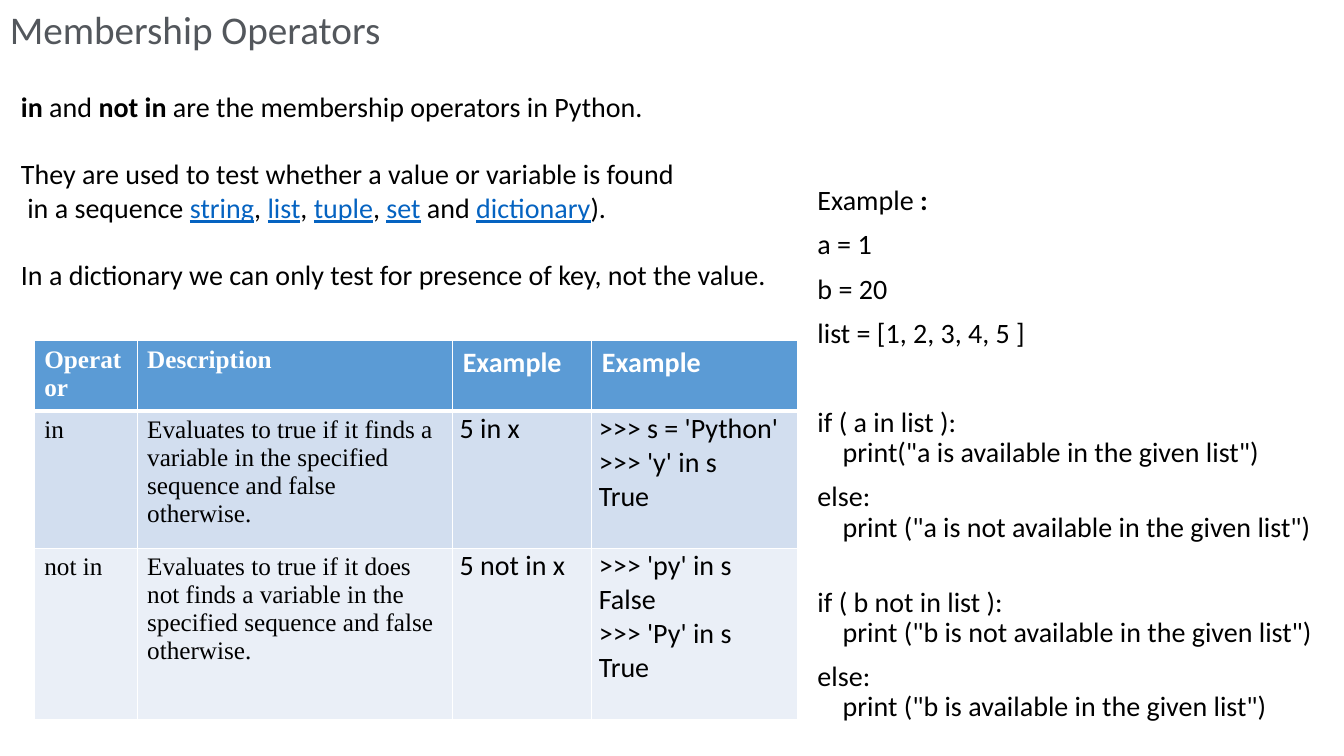
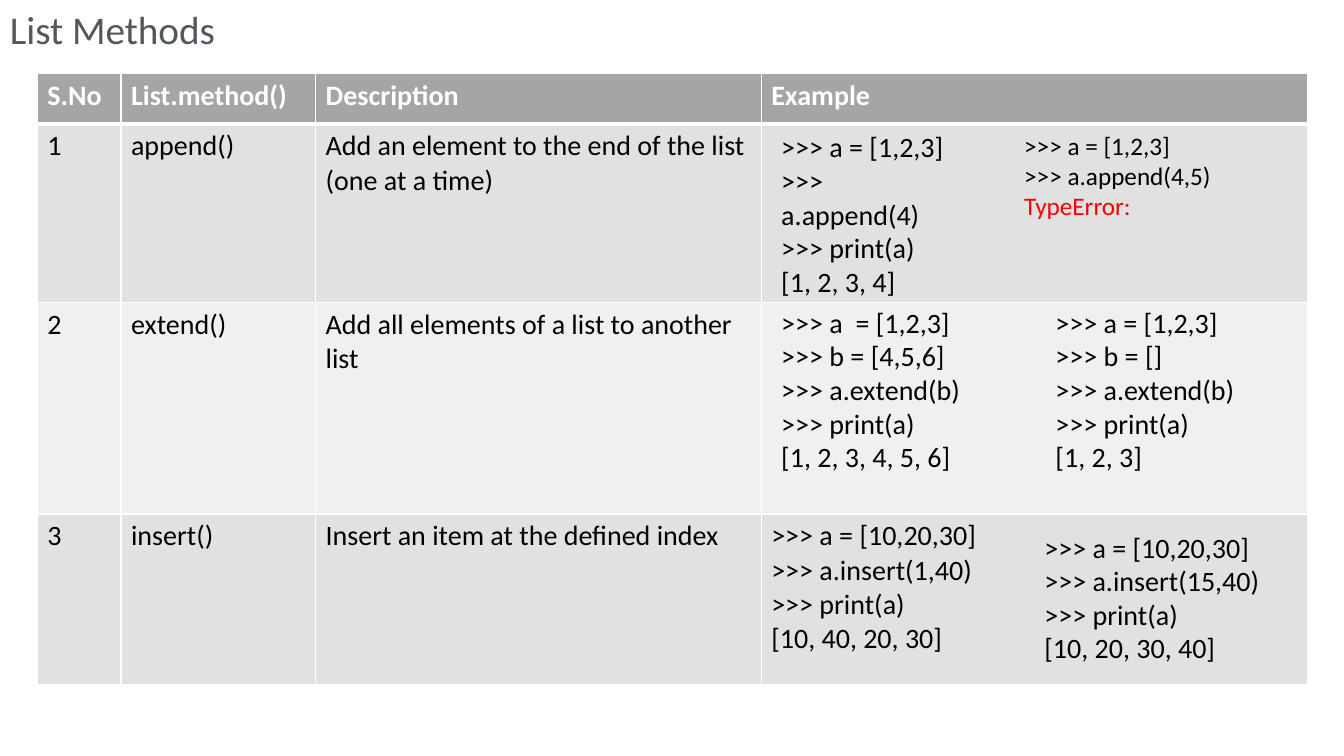
from lxml import etree
from pptx import Presentation
from pptx.dml.color import RGBColor
from pptx.oxml import ns
from pptx.util import Inches, Pt

BLACK = RGBColor(0x00, 0x00, 0x00)
WHITE = RGBColor(0xFF, 0xFF, 0xFF)
TITLE_GREY = RGBColor(0x53, 0x57, 0x5C)
LINK_BLUE = RGBColor(0x05, 0x63, 0xC1)
ERROR_RED = RGBColor(0xFF, 0x00, 0x00)
# Each palette: header row, odd rows, even rows
BLUES = (RGBColor(0x5B, 0x9B, 0xD5), RGBColor(0xD2, 0xDE, 0xEF), RGBColor(0xEA, 0xEF, 0xF7))
GREYS = (RGBColor(0xA5, 0xA5, 0xA5), RGBColor(0xE1, 0xE1, 0xE1), RGBColor(0xF0, 0xF0, 0xF0))

SANS = "Calibri"
SERIF = "Times New Roman"


def style_runs(p, size=20, color=BLACK, name=SANS, bold=False):
    for r in p.runs:
        r.font.size = Pt(size)
        r.font.name = name
        r.font.bold = bold
        r.font.color.rgb = color


def fill_text(tf, content, **style):
    tf.text = content
    for p in tf.paragraphs:
        style_runs(p, **style)


def add_run(p, content, bold=False, link=False):
    r = p.add_run()
    r.text = content
    r.font.size = Pt(20)
    r.font.name = SANS
    r.font.bold = bold
    r.font.underline = link
    r.font.color.rgb = LINK_BLUE if link else BLACK


def add_box(s, left, top, width, height, content="", **style):
    tf = s.shapes.add_textbox(Inches(left), Inches(top), Inches(width), Inches(height)).text_frame
    tf.word_wrap = True
    fill_text(tf, content, **style)
    return tf


def add_title(s, title):
    add_box(s, 0, 0, 13.33, 0.57, title, size=28, color=TITLE_GREY)


def set_borders(cell, top, bottom):
    """Draw white cell borders; top and bottom widths are in points."""
    tc_pr = cell._tc.get_or_add_tcPr()
    for side, width in (("L", 1), ("R", 1), ("T", top), ("B", bottom)):
        ln = etree.SubElement(tc_pr, ns.qn(f"a:ln{side}"), w=str(Pt(width)))
        fill = etree.SubElement(ln, ns.qn("a:solidFill"))
        etree.SubElement(fill, ns.qn("a:srgbClr"), val=str(WHITE))


def add_grid(s, left, top, widths, heights, rows, palette):
    """Add a table with a header row and alternating body rows."""
    table = s.shapes.add_table(len(rows), len(widths), Inches(left), Inches(top),
                               Inches(sum(widths)), Inches(sum(heights))).table
    table.horz_banding = False
    for column, width in zip(table.columns, widths):
        column.width = Inches(width)
    for i, (row, height) in enumerate(zip(rows, heights)):
        table.rows[i].height = Inches(height)
        header = i == 0
        for j, content in enumerate(row):
            cell = table.cell(i, j)
            set_borders(cell, 3 if i == 1 else 1, 3 if header else 1)
            cell.fill.solid()
            cell.fill.fore_color.rgb = palette[0] if header else palette[2 - i % 2]
            fill_text(cell.text_frame, content, color=WHITE if header else BLACK, bold=header)
    return table


def add_intro(s, left, top, width, height):
    tf = add_box(s, left, top, width, height)
    p = tf.paragraphs[0]
    add_run(p, "in", bold=True)
    add_run(p, " and ")
    add_run(p, "not in", bold=True)
    add_run(p, " are the membership operators in Python.")

    p = tf.add_paragraph()
    p.space_before = Pt(24)
    add_run(p, "They are used to test whether a value or variable is found")

    p = tf.add_paragraph()
    add_run(p, " in a sequence ")
    for kind, separator in (("string", ", "), ("list", ", "), ("tuple", ", "),
                            ("set", " and "), ("dictionary", ").")):
        add_run(p, kind, link=True)
        add_run(p, separator)

    p = tf.add_paragraph()
    p.space_before = Pt(24)
    add_run(p, "In a dictionary we can only test for presence of key, not the value.")


def add_operator_table(s, left, top):
    rows = [
        ("Operator", "Description", "Example", "Example"),
        ("in", "Evaluates to true if it finds a variable in the specified sequence "
               "and false otherwise.",
         "5 in x", ">>> s = 'Python'\n>>> 'y' in s\nTrue"),
        ("not in", "Evaluates to true if it does not finds a variable in the specified "
                   "sequence and false otherwise.",
         "5 not in x", ">>> 'py' in s\nFalse\n>>> 'Py' in s\nTrue"),
    ]
    table = add_grid(s, left, top, (1.02, 3.13, 1.38, 2.04), (0.64, 1.36, 1.7), rows, BLUES)
    for i in range(len(rows)):
        header = i == 0
        for j in (0, 1):
            style_runs(table.cell(i, j).text_frame.paragraphs[0], size=18, name=SERIF,
                       color=WHITE if header else BLACK, bold=header)
        if not header:
            for j in (2, 3):
                cell = table.cell(i, j)
                cell.margin_left = cell.margin_right = Inches(0.07)
                cell.margin_top = cell.margin_bottom = 0


def add_code_example(s, left, top, width, height):
    """List code blocks, each with its space before in points."""
    blocks = [
        (0, "Example "),
        (10, "a = 1"),
        (10, "b = 20"),
        (10, "list = [1, 2, 3, 4, 5 ]"),
        (42, 'if ( a in list ):\nprint("a is available in the given list")'),
        (10, 'else:\nprint ("a is not available in the given list")'),
        (32, 'if ( b not in list ):\nprint ("b is not available in the given list")'),
        (10, 'else:\nprint ("b is available in the given list")'),
    ]
    tf = add_box(s, left, top, width, height)
    for i, (gap, code) in enumerate(blocks):
        p = tf.add_paragraph() if i else tf.paragraphs[0]
        p.text = code
        p.line_spacing = 0.9
        p.space_before = Pt(gap)
        p_pr = p._p.get_or_add_pPr()
        p_pr.set("marL", str(Inches(0.25)))
        p_pr.set("indent", str(-Inches(0.25)))
        style_runs(p)
    add_run(tf.paragraphs[0], ":", bold=True)


def add_method_table(s, left, top):
    rows = [
        ("S.No", "List.method()", "Description", "Example"),
        ("1", "append()", "Add an element to the end of the list (one at a time)", ""),
        ("2", "extend()", "Add all elements of a list to another list", ""),
        ("3", "insert()", "Insert an item at the defined index",
         ">>> a = [10,20,30]\n>>> a.insert(1,40)\n>>> print(a)\n[10, 40, 20, 30]"),
    ]
    add_grid(s, left, top, (0.83, 1.93, 4.42, 5.42), (0.5, 1.77, 2.1, 1.69), rows, GREYS)


def add_method_examples(s, left, top):
    """Place the sessions that lie over the Example column."""
    add_box(s, left, top, 1.95, 1.78,
            ">>> a = [1,2,3]\n>>> a.append(4)\n>>> print(a)\n[1, 2, 3, 4]")
    tf = add_box(s, left + 2.41, top, 2.17, 1.01,
                 ">>> a = [1,2,3]\n>>> a.append(4,5)\nTypeError:", size=18)
    tf.paragraphs[-1].runs[0].font.color.rgb = ERROR_RED
    add_box(s, left, top + 1.74, 1.98, 1.78,
            ">>> a  = [1,2,3]\n>>> b = [4,5,6]\n>>> a.extend(b)\n>>> print(a)\n[1, 2, 3, 4, 5, 6]")
    add_box(s, left + 2.72, top + 1.74, 1.98, 1.78,
            ">>> a = [1,2,3]\n>>> b = []\n>>> a.extend(b)\n>>> print(a)\n[1, 2, 3]")
    add_box(s, left + 2.61, top + 3.97, 2.4, 1.45,
            ">>> a = [10,20,30]\n>>> a.insert(15,40)\n>>> print(a)\n[10, 20, 30, 40]")


def add_slide(prs, title):
    s = prs.slides.add_slide(prs.slide_layouts[6])
    add_title(s, title)
    return s


def build_membership_slide(prs):
    s = add_slide(prs, "Membership Operators")
    add_operator_table(s, 0.34, 3.38)
    add_intro(s, 0.11, 0.84, 8.3, 2.12)
    add_code_example(s, 8.01, 1.8, 5.33, 5.7)


def build_list_methods_slide(prs):
    s = add_slide(prs, "List Methods")
    add_method_table(s, 0.37, 0.73)
    add_method_examples(s, 7.65, 1.24)


def main():
    prs = Presentation()
    prs.slide_width = Inches(13.33)
    prs.slide_height = Inches(7.5)
    build_membership_slide(prs)
    build_list_methods_slide(prs)
    prs.save("out.pptx")


if __name__ == "__main__":
    main()
